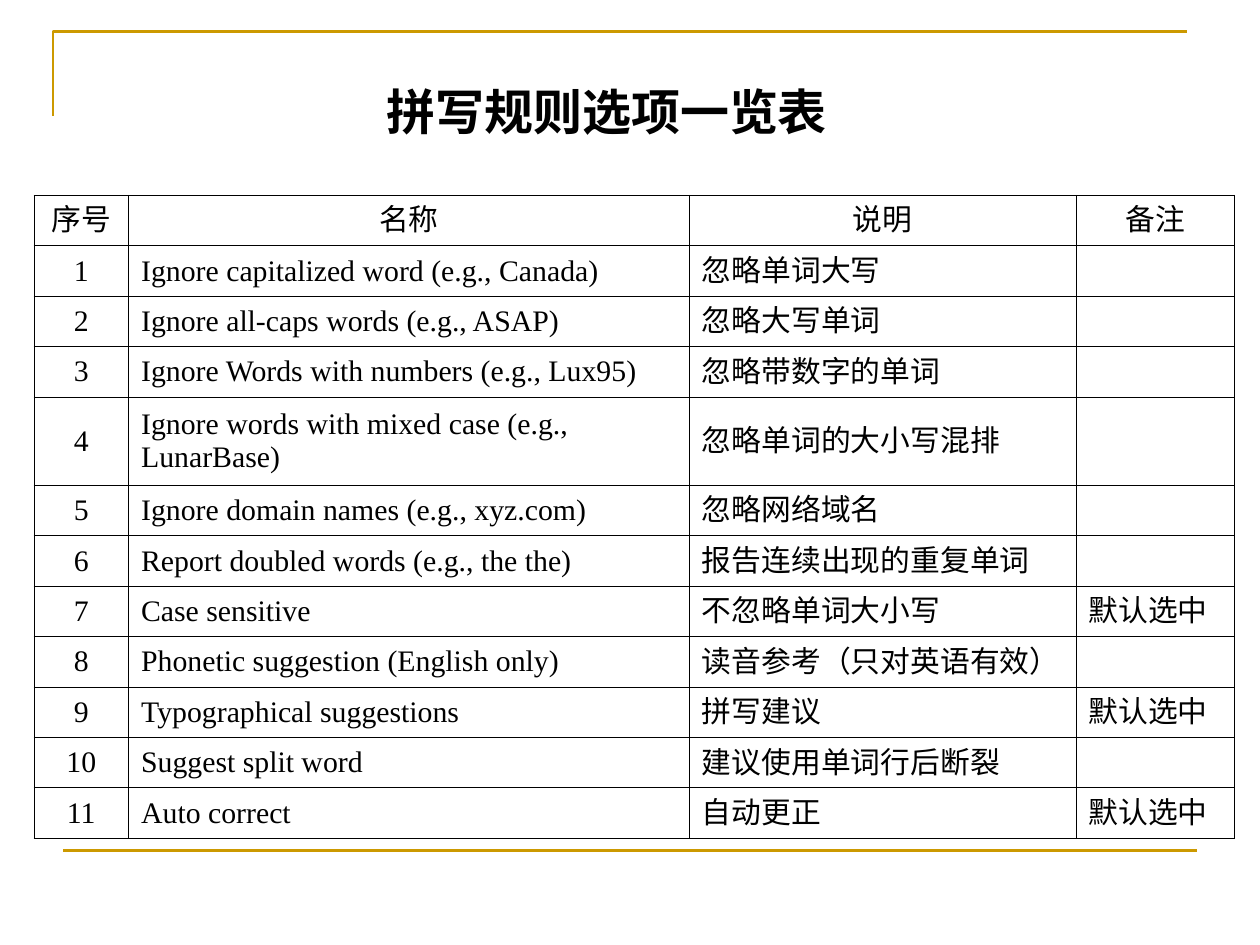
from lxml import etree
from pptx import Presentation
from pptx.dml.color import RGBColor
from pptx.enum import shapes, text
from pptx.oxml import ns
from pptx.util import Inches, Pt

BLACK = RGBColor(0x00, 0x00, 0x00)
GOLD = RGBColor(0xCC, 0x99, 0x00)
LATIN_FONT = "Times New Roman"
CHINESE_FONT = "DejaVu Sans"

TITLE = "拼写规则选项一览表"
HEADER = ("序号", "名称", "说明", "备注")
DEFAULT = "默认选中"
OPTIONS = [
    ("Ignore capitalized word (e.g., Canada)", "忽略单词大写", ""),
    ("Ignore all-caps words (e.g., ASAP)", "忽略大写单词", ""),
    ("Ignore Words with numbers (e.g., Lux95)", "忽略带数字的单词", ""),
    ("Ignore words with mixed case (e.g., LunarBase)", "忽略单词的大小写混排", ""),
    ("Ignore domain names (e.g., xyz.com)", "忽略网络域名", ""),
    ("Report doubled words (e.g., the the)", "报告连续出现的重复单词", ""),
    ("Case sensitive", "不忽略单词大小写", DEFAULT),
    ("Phonetic suggestion (English only)", "读音参考（只对英语有效）", ""),
    ("Typographical suggestions", "拼写建议", DEFAULT),
    ("Suggest split word", "建议使用单词行后断裂", ""),
    ("Auto correct", "自动更正", DEFAULT),
]
COLUMN_WIDTHS = (0.75, 4.45, 3.07, 1.26)
ROW_HEIGHT = 0.4
TALL_ROW, TALL_HEIGHT = 4, 0.7


def style_text(para, size, latin, bold=False):
    for span in para.runs:
        span.font.size = Pt(size)
        span.font.name = latin
        span.font.bold = bold
        span.font.color.rgb = BLACK
        east_asian = etree.SubElement(span.font._element, ns.qn("a:ea"))
        east_asian.set("typeface", CHINESE_FONT)


def style_line(line):
    line.color.rgb = GOLD
    line.width = Pt(1.5)


def add_frame(page):
    builder = page.shapes.build_freeform(Inches(0.42), Inches(0.92))
    builder.add_line_segments(
        [(Inches(0.42), Inches(0.25)), (Inches(9.42), Inches(0.25))], close=False)
    corner = builder.convert_to_shape()
    corner.shadow.inherit = False
    corner.fill.background()
    style_line(corner.line)
    rule = page.shapes.add_connector(
        shapes.MSO_CONNECTOR.STRAIGHT, Inches(0.5), Inches(6.75), Inches(9.5), Inches(6.75))
    style_line(rule.line)
    etree.SubElement(rule._element.spPr, ns.qn("a:effectLst"))


def add_title(page):
    box = page.shapes.add_textbox(Inches(2.97), Inches(0.6), Inches(3.8), Inches(0.57))
    frame = box.text_frame
    frame.word_wrap = True
    frame.auto_size = text.MSO_AUTO_SIZE.SHAPE_TO_FIT_TEXT
    frame.text = TITLE
    style_text(frame.paragraphs[0], 28, CHINESE_FONT, bold=True)


def add_borders(cell):
    properties = cell._tc.get_or_add_tcPr()
    for position, side in enumerate(("lnL", "lnR", "lnT", "lnB")):
        border = etree.Element(ns.qn(f"a:{side}"), w=str(Pt(0.45)))
        fill = etree.SubElement(border, ns.qn("a:solidFill"))
        etree.SubElement(fill, ns.qn("a:srgbClr"), val=str(BLACK))
        properties.insert(position, border)


def add_options(page):
    rows = [HEADER] + [(str(number), *option) for number, option in enumerate(OPTIONS, 1)]
    heights = [TALL_HEIGHT if index == TALL_ROW else ROW_HEIGHT for index in range(len(rows))]
    table = page.shapes.add_table(
        len(rows), len(HEADER), Inches(0.27), Inches(1.55),
        Inches(sum(COLUMN_WIDTHS)), Inches(sum(heights))).table
    table.first_row = table.horz_banding = False
    for column, width in zip(table.columns, COLUMN_WIDTHS):
        column.width = Inches(width)
    for row_index, (row, height) in enumerate(zip(rows, heights)):
        table.rows[row_index].height = Inches(height)
        for column_index, words in enumerate(row):
            cell = table.cell(row_index, column_index)
            cell.fill.background()
            cell.vertical_anchor = text.MSO_ANCHOR.MIDDLE
            add_borders(cell)
            para = cell.text_frame.paragraphs[0]
            para.text = words
            if row_index == 0 or column_index == 0:
                para.alignment = text.PP_ALIGN.CENTER
            style_text(para, 17, LATIN_FONT)


def main():
    deck = Presentation()
    deck.slide_width, deck.slide_height = Inches(10), Inches(7.5)
    page = deck.slides.add_slide(deck.slide_layouts[6])
    add_frame(page)
    add_title(page)
    add_options(page)
    deck.save("out.pptx")


if __name__ == "__main__":
    main()
